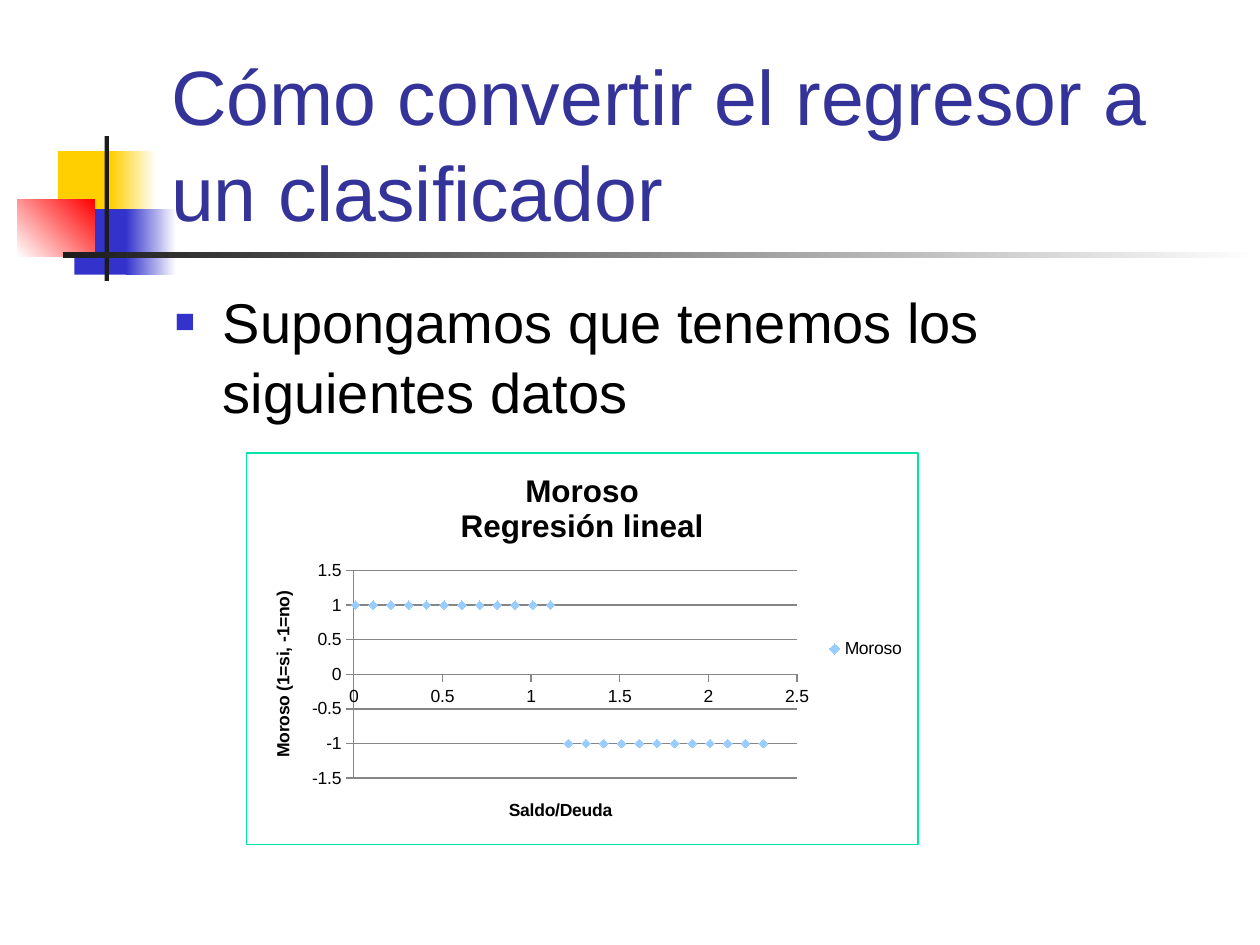
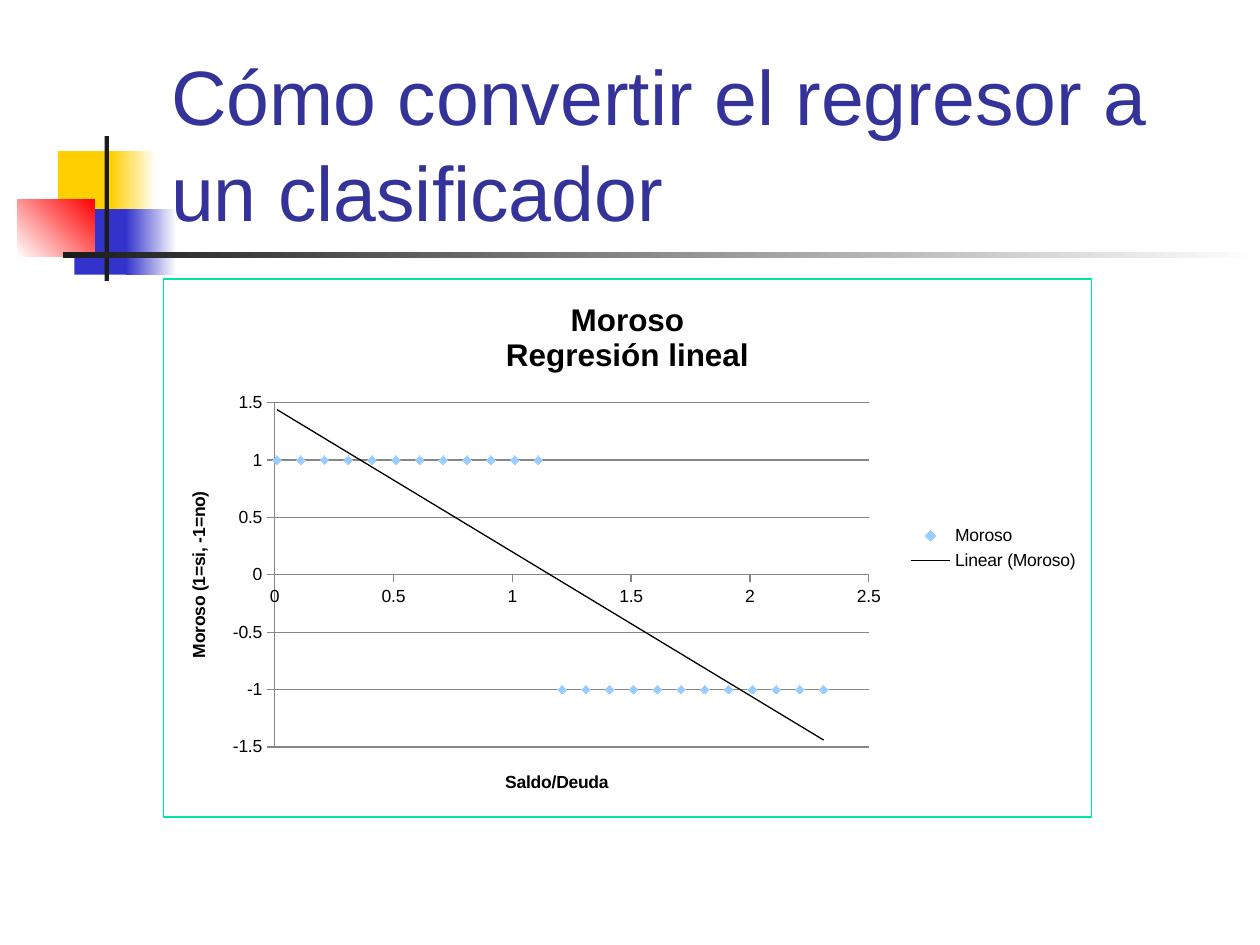
import dataclasses

import lxml.etree
import pptx
import pptx.chart.data
import pptx.dml.color
import pptx.enum.chart
import pptx.enum.shapes
import pptx.enum.text
import pptx.oxml
import pptx.oxml.ns
import pptx.util


@dataclasses.dataclass(frozen=True)
class Theme:
    """Colours, type sizes and the grid shared by all slides."""
    font: str = "Arial"
    title: str = "333399"
    text: str = "000000"
    gold: str = "FFCF01"
    blue: str = "3333CC"
    red: str = "FF0000"
    dark: str = "1C1C1C"
    white: str = "FFFFFF"
    frame: str = "00E4A8"
    mark: str = "99CCFF"
    grid: str = "868686"
    head_size: int = 44
    body_size: int = 32
    chart_head: int = 18
    chart_size: int = 10
    thin: float = 0.75
    cols: int = 100
    rows: int = 75


THEME = Theme()
WIDE = pptx.util.Inches(10)
HIGH = pptx.util.Inches(7.5)
HEAD = "Cómo convertir el regresor a un clasificador"
RATIOS = [round(0.01 + 0.1 * step, 2) for step in range(24)]
LABELS = [1] * 12 + [-1] * 12


def place(col, row, cols, rows):
    """Turn grid columns and rows into slide lengths."""
    wide, high = WIDE / THEME.cols, HIGH / THEME.rows
    return [round(n) for n in (col * wide, row * high, cols * wide, rows * high)]


def tint(code):
    """Return a colour object for a hex code."""
    return pptx.dml.color.RGBColor.from_string(code)


def style(font, size, code, bold=False):
    """Set face, size, colour and weight of a font."""
    font.name = THEME.font
    font.size = pptx.util.Pt(size)
    font.bold = bold
    font.color.rgb = tint(code)


def write(para, words, size, code, bold=False):
    """Add one styled run to a paragraph."""
    run = para.add_run()
    run.text = words
    style(run.font, size, code, bold)


def block(slide, box, first, last=None, angle=0):
    """Draw a rectangle with a plain or fading fill."""
    shape = slide.shapes.add_shape(
        pptx.enum.shapes.MSO_SHAPE.RECTANGLE, *place(*box))
    shape.shadow.inherit = False
    shape.line.fill.background()
    if last is None:
        shape.fill.solid()
        shape.fill.fore_color.rgb = tint(first)
        return
    shape.fill.gradient()
    shape.fill.gradient_angle = angle
    for stop, code in zip(shape.fill.gradient_stops, (first, last)):
        stop.color.rgb = tint(code)


def motif(slide):
    """Draw the coloured squares and the rules beside the title."""
    block(slide, (4.6, 12, 4.8, 5.2), THEME.gold)
    block(slide, (8.8, 12, 3.6, 5.2), THEME.gold, THEME.white)
    block(slide, (5.9, 16.6, 4.6, 5.2), THEME.blue)
    block(slide, (10, 16.6, 4, 5.2), THEME.blue, THEME.white)
    block(slide, (1.4, 15.8, 6.1, 4.6), THEME.white, THEME.red, 45)
    block(slide, (8.3, 10.8, 0.35, 11.5), THEME.dark)
    block(slide, (5, 20, 95, 0.5), THEME.dark, THEME.white)


def panel(slide, box, anchor):
    """Add a wrapping text box and return its first paragraph."""
    frame = slide.shapes.add_textbox(*place(*box)).text_frame
    frame.word_wrap = True
    frame.vertical_anchor = anchor
    return frame.paragraphs[0]


def bullet(para):
    """Give a paragraph a square bullet and a hanging indent."""
    props = para._p.get_or_add_pPr()
    hang = pptx.util.Inches(0.38)
    props.set("marL", str(hang))
    props.set("indent", str(-hang))
    color = lxml.etree.SubElement(props, pptx.oxml.ns.qn("a:buClr"))
    lxml.etree.SubElement(color, pptx.oxml.ns.qn("a:srgbClr"), val=THEME.blue)
    lxml.etree.SubElement(props, pptx.oxml.ns.qn("a:buSzPct"), val="60000")
    lxml.etree.SubElement(props, pptx.oxml.ns.qn("a:buFont"), typeface=THEME.font)
    lxml.etree.SubElement(props, pptx.oxml.ns.qn("a:buChar"), char="■")


def begin(deck):
    """Add a blank slide with the shared motif and title."""
    slide = deck.slides.add_slide(deck.slide_layouts[6])
    motif(slide)
    para = panel(slide, (12.6, 6.8, 85.2, 12.5),
                 pptx.enum.text.MSO_ANCHOR.BOTTOM)
    para.line_spacing = 1.04
    write(para, HEAD, THEME.head_size, THEME.title)
    return slide


def chart_xml(tag, inner):
    """Parse a chart element from its tag and content."""
    names = pptx.oxml.ns.nsdecls("c", "a")
    return pptx.oxml.parse_xml(f"<c:{tag} {names}>{inner}</c:{tag}>")


def line_xml(code):
    """Return the markup of a thin line."""
    width = pptx.util.Pt(THEME.thin)
    return (f'<a:ln w="{width}"><a:solidFill><a:srgbClr val="{code}"/>'
            '</a:solidFill></a:ln>')


def border(chart):
    """Draw the frame round the chart area."""
    fill = f'<a:solidFill><a:srgbClr val="{THEME.white}"/></a:solidFill>'
    area = chart_xml("spPr", fill + line_xml(THEME.frame))
    chart._chartSpace.chart.addnext(area)


def layout(chart, shares):
    """Fix the inner plot area as shares of the chart."""
    plot = chart._chartSpace.chart.plotArea
    for old in plot.findall(pptx.oxml.ns.qn("c:layout")):
        plot.remove(old)
    parts = '<c:layoutTarget val="inner"/>'
    parts += "".join(f'<c:{key}Mode val="edge"/>' for key in "xy")
    parts += "".join(f'<c:{key} val="{share}"/>'
                     for key, share in zip("xywh", shares))
    plot.insert(0, chart_xml("layout", f"<c:manualLayout>{parts}</c:manualLayout>"))


def trend(series):
    """Add a linear trend line to a series."""
    inner = (f"<c:name>Linear ({series.name})</c:name>"
             f"<c:spPr>{line_xml(THEME.text)}</c:spPr>"
             '<c:trendlineType val="linear"/>'
             '<c:dispRSqr val="0"/><c:dispEq val="0"/>')
    values = series._element.find(pptx.oxml.ns.qn("c:xVal"))
    values.addprevious(chart_xml("trendline", inner))


def axis(axis, words, low, high):
    """Set the title, scale, ticks and line of an axis."""
    write(axis.axis_title.text_frame.paragraphs[0], words,
          THEME.chart_size, THEME.text, True)
    axis.minimum_scale, axis.maximum_scale, axis.major_unit = low, high, 0.5
    axis.major_tick_mark = pptx.enum.chart.XL_TICK_MARK.OUTSIDE
    axis.minor_tick_mark = pptx.enum.chart.XL_TICK_MARK.NONE
    axis.tick_labels.number_format = "General"
    axis.tick_labels.number_format_is_linked = False
    axis.format.line.color.rgb = tint(THEME.grid)
    axis.format.line.width = pptx.util.Pt(THEME.thin)


def scatter(slide, box, shares):
    """Add the scatter chart of debtors and return its series."""
    data = pptx.chart.data.XyChartData()
    points = data.add_series("Moroso")
    for ratio, label in zip(RATIOS, LABELS):
        points.add_data_point(ratio, label)
    chart = slide.shapes.add_chart(
        pptx.enum.chart.XL_CHART_TYPE.XY_SCATTER, *place(*box), data).chart
    style(chart.font, THEME.chart_size, THEME.text)
    frame = chart.chart_title.text_frame
    write(frame.paragraphs[0], "Moroso", THEME.chart_head, THEME.text, True)
    write(frame.add_paragraph(), "Regresión lineal",
          THEME.chart_head, THEME.text, True)
    chart.chart_title.include_in_layout = False
    axis(chart.category_axis, "Saldo/Deuda", 0, 2.5)
    axis(chart.value_axis, "Moroso (1=si, -1=no)", -1.5, 1.5)
    chart.category_axis.has_major_gridlines = False
    rule = chart.value_axis.major_gridlines.format.line
    rule.color.rgb = tint(THEME.grid)
    rule.width = pptx.util.Pt(THEME.thin)
    chart.has_legend = True
    chart.legend.position = pptx.enum.chart.XL_LEGEND_POSITION.RIGHT
    chart.legend.include_in_layout = False
    border(chart)
    layout(chart, shares)
    series = chart.plots[0].series[0]
    series.format.line.fill.background()
    series.marker.style = pptx.enum.chart.XL_MARKER_STYLE.DIAMOND
    series.marker.size = 5
    series.marker.format.fill.solid()
    series.marker.format.fill.fore_color.rgb = tint(THEME.mark)
    series.marker.format.line.color.rgb = tint(THEME.mark)
    return series


def data_slide(deck):
    """Build the slide that shows the data."""
    slide = begin(deck)
    para = panel(slide, (12.9, 22.1, 85, 45), pptx.enum.text.MSO_ANCHOR.TOP)
    para.line_spacing = 1.04
    para.space_before = pptx.util.Pt(0.2 * THEME.body_size)
    bullet(para)
    write(para, "Supongamos que tenemos los siguientes datos",
          THEME.body_size, THEME.text)
    scatter(slide, (19.5, 35.9, 53.4, 31.2), (0.16, 0.3, 0.66, 0.53))


def trend_slide(deck):
    """Build the slide that adds the linear fit."""
    slide = begin(deck)
    trend(scatter(slide, (12.9, 22.1, 73.8, 42.8), (0.12, 0.23, 0.64, 0.64)))


def main():
    """Build and save the deck."""
    deck = pptx.Presentation()
    deck.slide_width, deck.slide_height = WIDE, HIGH
    data_slide(deck)
    trend_slide(deck)
    deck.save("out.pptx")


main()
